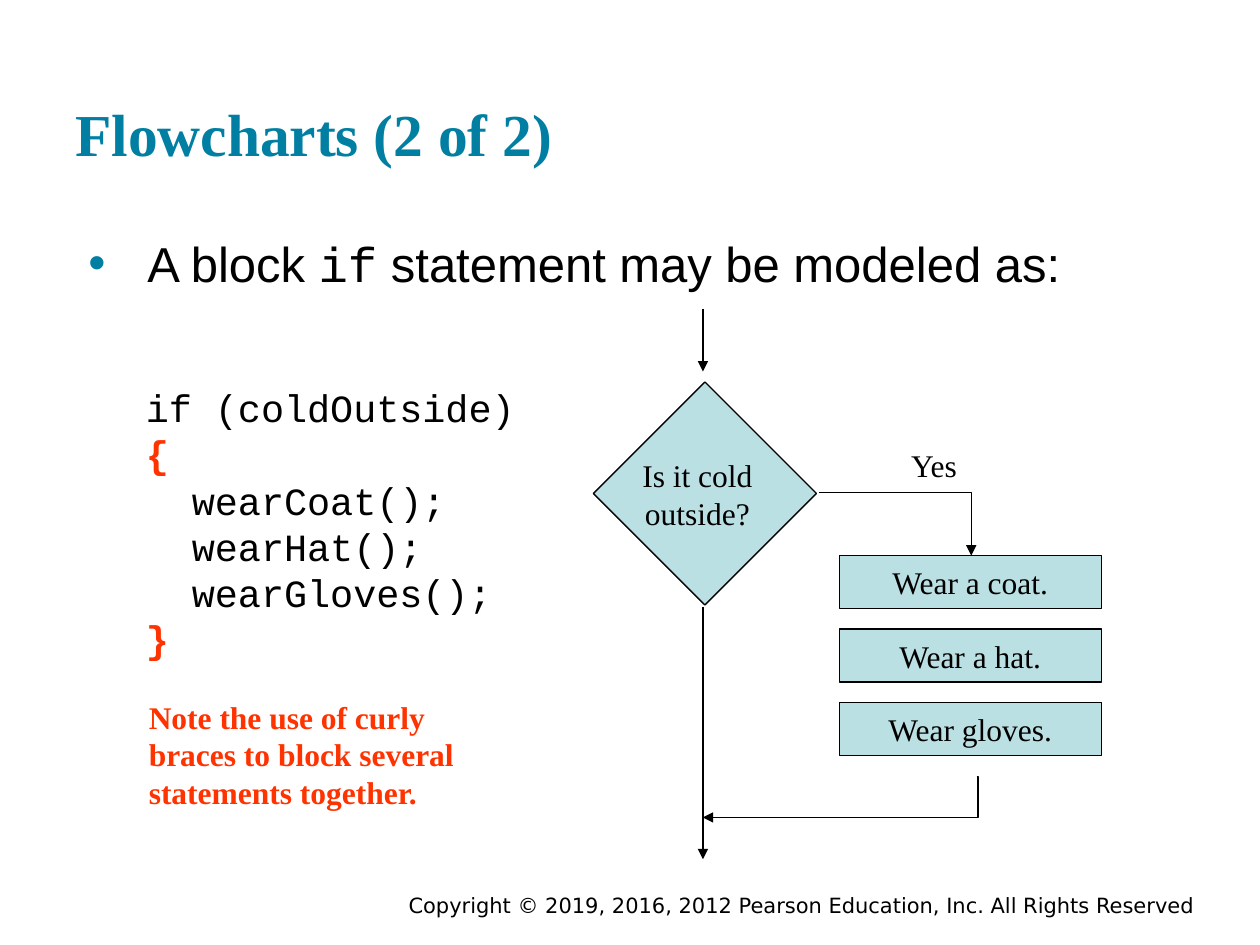
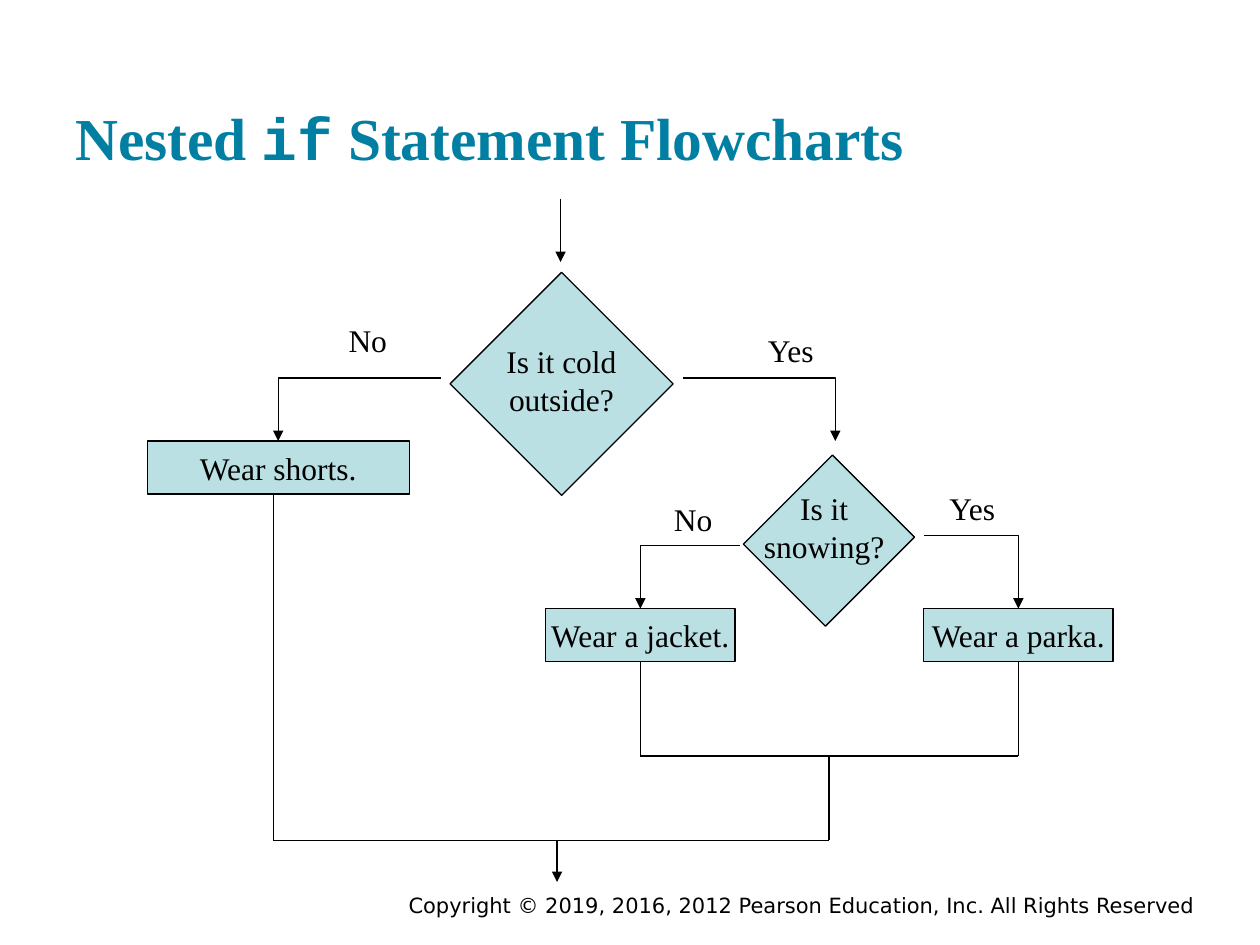
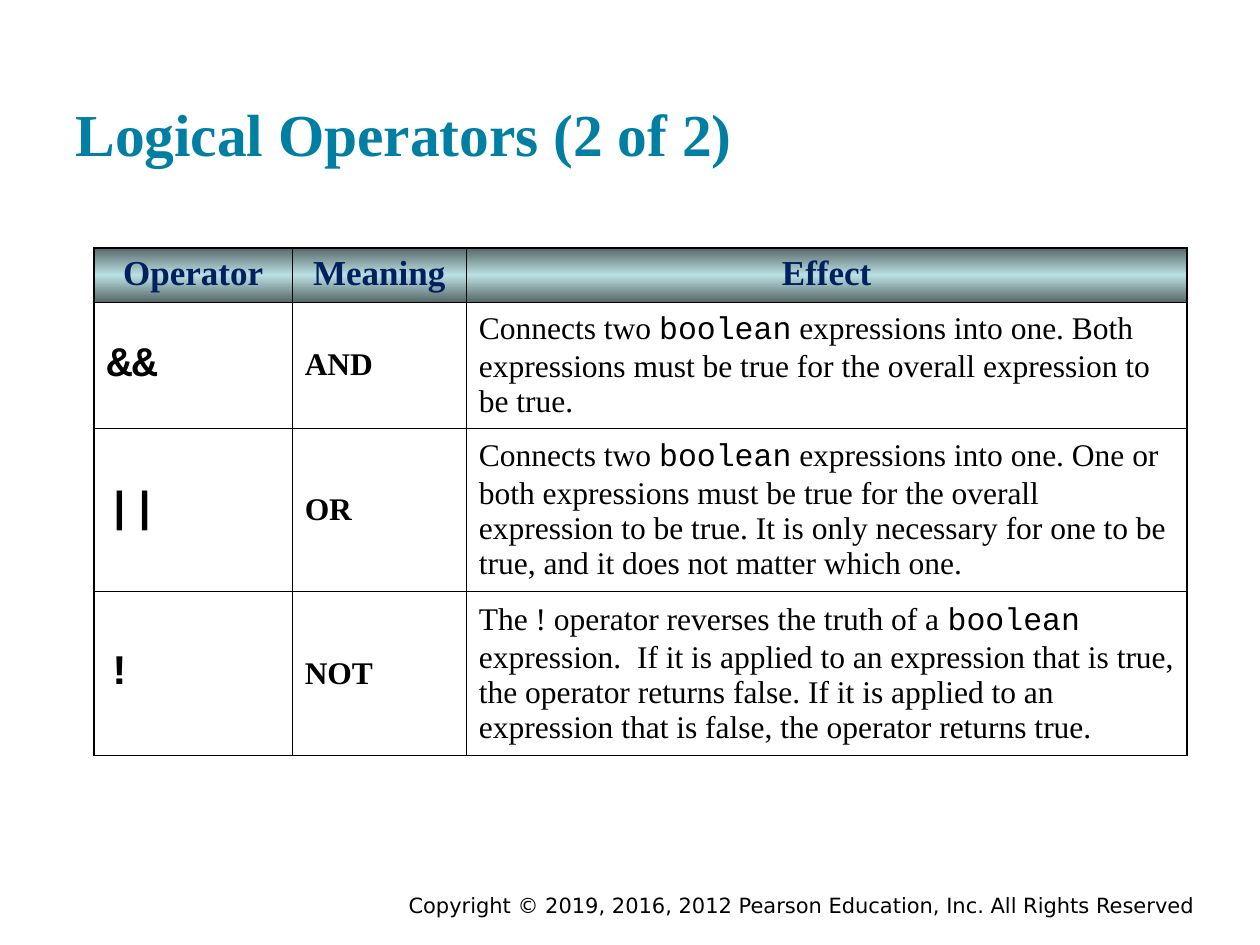
import pptx
import pptx.dml.color
import pptx.enum.shapes
import pptx.enum.text
import pptx.oxml
import pptx.oxml.ns
import pptx.util

Cm = pptx.util.Cm
Pt = pptx.util.Pt
ALIGN = pptx.enum.text.PP_ALIGN
ANCHOR = pptx.enum.text.MSO_ANCHOR
FIT = pptx.enum.text.MSO_AUTO_SIZE
LINK = pptx.enum.shapes.MSO_CONNECTOR

SERIF, SANS, MONO = "Times New Roman", "Arial", "Courier New"
BLACK, TEAL, PALE, RED = "000000", "007FA3", "BBE0E3", "FF3300"
NAVY, DARK = "002060", "576869"
RULE = "Copyright © 2019, 2016, 2012 Pearson Education, Inc. All Rights Reserved"
LOOK = {"size": 18, "face": SERIF, "hue": BLACK, "bold": False}


def color(code):
    return pptx.dml.color.RGBColor.from_string(code)


def node(tag, inner="", **attrs):
    """Make one element of the drawing namespace."""
    pairs = "".join(f' {key}="{val}"' for key, val in attrs.items())
    space = pptx.oxml.ns.nsdecls("a")
    return pptx.oxml.parse_xml(f"<a:{tag} {space}{pairs}>{inner}</a:{tag}>")


def solid(code):
    return f'<a:solidFill><a:srgbClr val="{code}"/></a:solidFill>'


def mono(text):
    return text, {"face": MONO}


def place(shape, left, top, width, height):
    shape.left, shape.top = Cm(left), Cm(top)
    shape.width, shape.height = Cm(width), Cm(height)


def write(frame, paras, align=ALIGN.LEFT, **look):
    """Fill a frame; a paragraph is a list of strings or (text, look) pairs."""
    for num, runs in enumerate(paras):
        para = frame.add_paragraph() if num else frame.paragraphs[0]
        para.alignment = align
        para.space_before = Pt(0)
        for item in runs:
            text, own = (item, {}) if isinstance(item, str) else item
            style = {**LOOK, **look, **own}
            run = para.add_run()
            run.text = text
            run.font.size = Pt(style["size"])
            run.font.name = style["face"]
            run.font.bold = style["bold"]
            run.font.color.rgb = color(style["hue"])


class Deck:
    def __init__(self):
        self.prs = pptx.Presentation()
        self.prs.slide_width, self.prs.slide_height = Cm(25.4), Cm(19.05)

    def page(self, title, top=0.6, body=False):
        """Start a slide with its title and footer."""
        layout = self.prs.slide_layouts[1 if body else 5]
        self.slide = self.prs.slides.add_slide(layout)
        self.shapes = self.slide.shapes
        self.holder(self.shapes.title, top, 3.05, ANCHOR.BOTTOM)
        write(self.shapes.title.text_frame, [title], size=34, hue=TEAL, bold=True)
        self.text([[RULE]], 4.45, 17.86, 19.89, 0.56, wrap=True,
                  align=ALIGN.RIGHT, size=12, face="DejaVu Sans")

    def holder(self, shape, top, height, anchor):
        """Move a placeholder and set its insets."""
        place(shape, 1.27, top, 22.86, height)
        frame = shape.text_frame
        frame.auto_size = FIT.NONE
        frame.vertical_anchor = anchor
        frame.margin_left = frame.margin_right = Cm(0.25)
        frame.margin_top = frame.margin_bottom = Cm(0.25)

    def bullet(self, runs):
        shape = self.slide.placeholders[1]
        self.holder(shape, 4.45, 12.57, ANCHOR.TOP)
        frame = shape.text_frame
        props = frame.paragraphs[0]._p.get_or_add_pPr()
        props.set("marL", str(Cm(1.45)))
        props.set("indent", str(Cm(-1.19)))
        props.append(node("buClr", f'<a:srgbClr val="{TEAL}"/>'))
        props.append(node("buChar", char="•"))
        write(frame, [runs], size=28, face=SANS)

    def text(self, paras, left, top, width, height, wrap=False, **look):
        """Add a text box; without wrapping it grows to hold its lines."""
        box = self.shapes.add_textbox(Cm(left), Cm(top), Cm(width), Cm(height))
        box.text_frame.word_wrap = wrap
        box.text_frame.auto_size = FIT.NONE if wrap else FIT.SHAPE_TO_FIT_TEXT
        write(box.text_frame, paras, **look)

    def label(self, lines, left, top, width=1.5):
        self.text([[line] for line in lines], left, top, width,
                  0.26 + 0.76 * len(lines), align=ALIGN.CENTER)

    def box(self, left, top, width, height=1.07, text=""):
        kind = pptx.enum.shapes.MSO_SHAPE.RECTANGLE
        shape = self.shapes.add_shape(kind, Cm(left), Cm(top), Cm(width), Cm(height))
        shape.shadow.inherit = False
        shape.fill.solid()
        shape.fill.fore_color.rgb = color(PALE)
        shape.line.color.rgb = color(BLACK)
        shape.line.width = Pt(0.75)
        if text:
            shape.text_frame.word_wrap = False
            shape.text_frame.vertical_anchor = ANCHOR.MIDDLE
            write(shape.text_frame, [[text]], align=ALIGN.CENTER)
        return shape

    def choice(self, left, top, width=3.18, height=3.18):
        self.box(left, top, width, height).rotation = 45

    def line(self, x1, y1, x2, y2, arrow=True, kind=LINK.STRAIGHT):
        link = self.shapes.add_connector(kind, Cm(x1), Cm(y1), Cm(x2), Cm(y2))
        link.line.color.rgb = color(BLACK)
        link.line.width = Pt(0.75)
        if arrow:
            link.element.xpath(".//a:ln")[0].append(node("tailEnd", type="triangle"))
        link.element.spPr.append(node("effectLst"))
        return link

    def bend(self, x1, y1, x2, y2):
        """Draw an arrow that runs across, then down."""
        link = self.line(x1, y1, x2, y2, kind=LINK.ELBOW)
        link.element.xpath(".//a:prstGeom")[0].set("prst", "bentConnector2")

    def hook(self, x1, y1, x2, y2):
        """Draw an arrow that drops first, then runs back."""
        link = self.line(x1, y1, x2, y2, kind=LINK.ELBOW)
        geom = link.element.xpath(".//a:prstGeom")[0]
        for old in list(geom):
            geom.remove(old)
        geom.append(node("avLst", '<a:gd name="adj1" fmla="val -500"/>'))

    def cell(self, cell, runs, edges, head, **look):
        props = cell._tc.get_or_add_tcPr()
        for side, outer in zip("LRTB", edges):
            width = Pt(1.08 if outer else 0.45)
            props.append(node(f"ln{side}", solid(BLACK), w=width))
        if head:
            stops = "".join(f'<a:gs pos="{pos}"><a:srgbClr val="{hue}"/></a:gs>'
                            for pos, hue in ((0, DARK), (50000, PALE), (100000, DARK)))
            props.append(node("gradFill", f'<a:gsLst>{stops}</a:gsLst>'
                              '<a:lin ang="5400000" scaled="0"/>'))
        else:
            cell.fill.background()
            cell.vertical_anchor = ANCHOR.MIDDLE
        write(cell.text_frame, [runs], **look)

    def table(self, rows, left, top, widths, heights, head, looks):
        grid = self.shapes.add_table(len(rows), len(widths), Cm(left), Cm(top),
                                     Cm(sum(widths)), Cm(sum(heights))).table
        grid.first_row = grid.horz_banding = False
        for col, width in zip(grid.columns, widths):
            col.width = Cm(width)
        for row, height in zip(grid.rows, heights):
            row.height = Cm(height)
        for r, row in enumerate(rows):
            for c, runs in enumerate(row):
                edges = (c == 0, c == len(widths) - 1, r == 0, r == len(rows) - 1)
                look = looks[c] if r else head
                self.cell(grid.cell(r, c), runs, edges, r == 0, **look)


def block(deck):
    deck.page(["Flowcharts (2 of 2)"], body=True)
    deck.bullet(["A block ", mono("if"), " statement may be modeled as:"])
    brace = {"hue": RED, "bold": True}
    deck.text([["if (coldOutside)"], [("{", brace)], ["  wearCoat();"],
               ["  wearHat();"], ["  wearGloves();"], [("}", brace)]],
              2.69, 7.62, 9.09, 5.84, wrap=True, size=22, face=MONO)
    deck.text([["Note the use of curly"], ["braces to block several"],
               ["statements together."]], 2.75, 13.94, 6.7, 2.54, **brace)
    deck.choice(12.62, 8.36)
    deck.label(["Is it cold", "outside?"], 12.66, 9.07, 2.8)
    for num, item in enumerate(("a coat", "a hat", "gloves")):
        deck.box(16.92, 11.2 + 1.48 * num, 5.28, text=f"Wear {item}.")
    deck.label(["Yes"], 18.08, 8.86)
    deck.line(14.17, 6.22, 14.17, 7.49)
    deck.bend(16.51, 9.93, 19.58, 11.2)
    deck.line(14.17, 12.24, 14.17, 17.32)
    deck.hook(19.69, 15.65, 14.17, 16.48)


def nested(deck):
    deck.page(["Nested ", mono("if"), " Statement Flowcharts"], top=0.67)
    deck.line(11.3, 4.01, 11.3, 5.28)
    deck.choice(9.73, 6.15)
    deck.label(["Is it cold", "outside?"], 9.92, 6.78, 2.8)
    deck.choice(15.54, 9.63, 2.34, 2.54)
    deck.label(["Is it", "snowing?"], 15.1, 9.73, 3.03)

    deck.box(2.97, 8.89, 5.28, text="Wear shorts.")
    deck.label(["No"], 6.73, 6.35, 1.37)
    deck.bend(8.89, 7.62, 5.61, 8.89)
    deck.label(["Yes"], 15.19, 6.55)
    deck.bend(13.77, 7.62, 16.84, 8.89)
    deck.label(["No"], 13.29, 9.96, 1.37)
    deck.bend(14.91, 11, 12.91, 12.27)
    deck.label(["Yes"], 18.85, 9.73)
    deck.bend(18.62, 10.8, 20.53, 12.27)

    for left, item in ((11, "jacket"), (18.62, "parka")):
        box = deck.box(left, 12.27, 3.82, text=f"Wear a {item}.")
        mid = left + 1.91
        deck.line(mid, 13.34, mid, 15.24, arrow=False).begin_connect(box, 2)
    for ends in ((12.91, 15.24, 20.53, 15.24), (16.71, 15.24, 16.71, 16.94),
                 (5.51, 9.96, 5.51, 16.94), (5.51, 16.94, 16.71, 16.94)):
        deck.line(*ends, arrow=False)
    deck.line(11.23, 16.94, 11.23, 17.78)


def logic(deck):
    deck.page(["Logical Operators (2 of 2)"])
    start = ["Connects two ", mono("boolean")]
    rows = [
        [["Operator"], ["Meaning"], ["Effect"]],
        [["&&"], ["AND"], start + [
            " expressions into one. Both expressions must be true for the "
            "overall expression to be true."]],
        [["||"], ["OR"], start + [
            " expressions into one. One or both expressions must be true for "
            "the overall expression to be true. It is only necessary for one "
            "to be true, and it does not matter which one."]],
        [["!"], ["NOT"], [
            "The ! operator reverses the truth of a ", mono("boolean"),
            " expression.  If it is applied to an expression that is true, the "
            "operator returns false. If it is applied to an expression that is "
            "false, the operator returns true."]],
    ]
    deck.table(rows, 1.9, 5, (3.99, 3.51, 14.53), (1.09, 2.54, 3.3, 3.3),
               {"size": 20, "hue": NAVY, "bold": True, "align": ALIGN.CENTER},
               ({"size": 24, "face": MONO, "bold": True}, {"bold": True}, {}))


def main():
    deck = Deck()
    block(deck)
    nested(deck)
    logic(deck)
    deck.prs.save("out.pptx")


if __name__ == "__main__":
    main()
